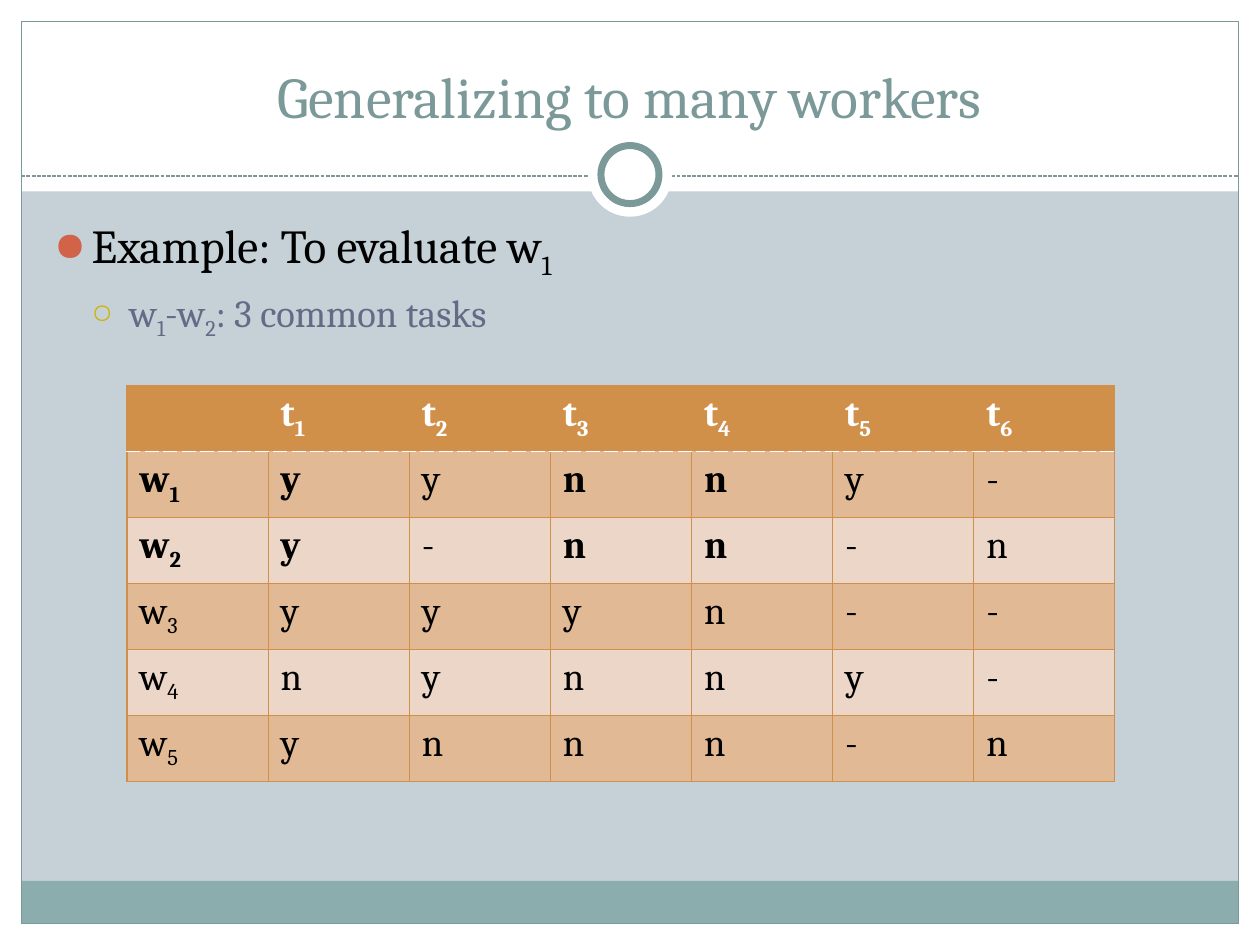
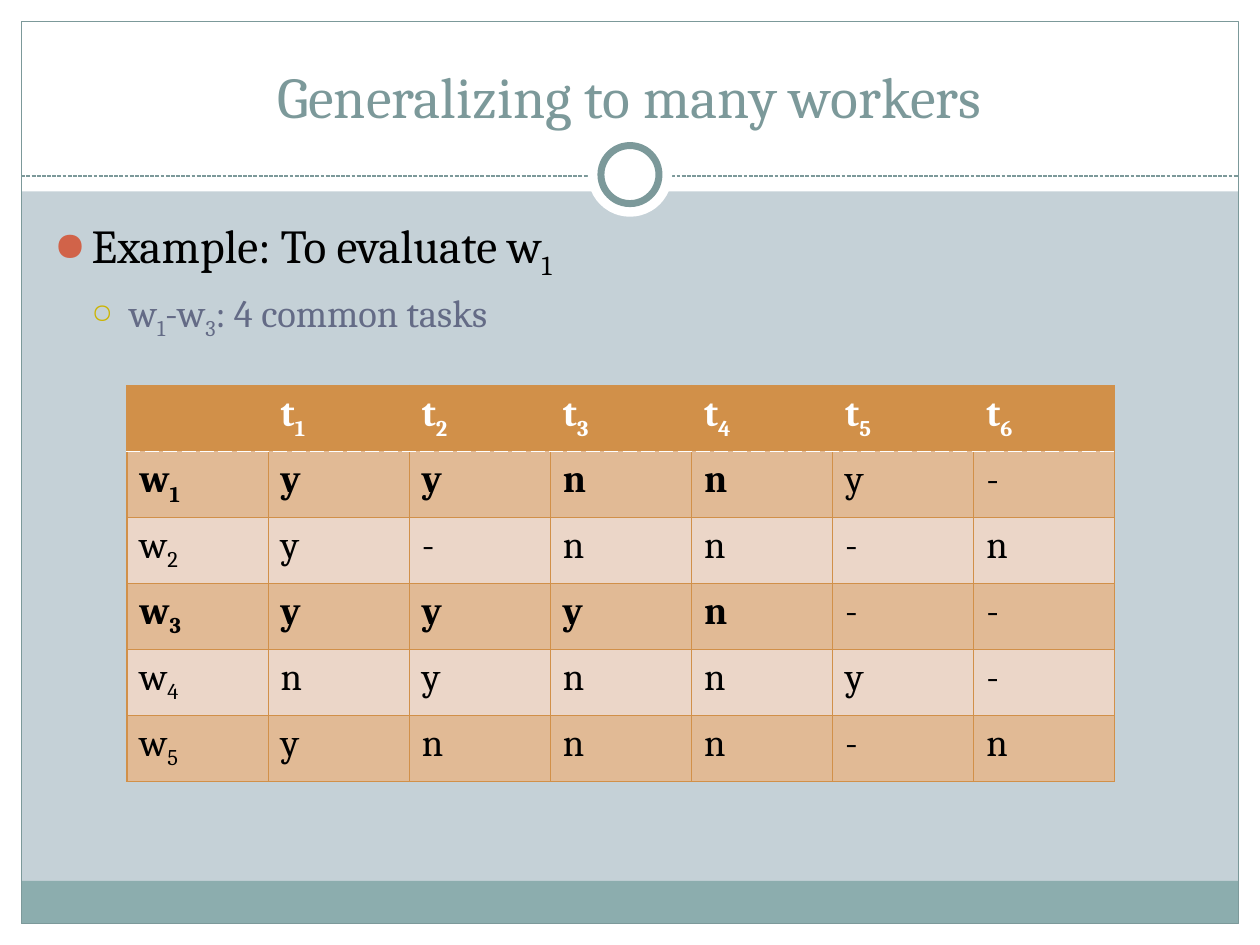
from lxml import etree
from pptx import Presentation
from pptx.dml.color import RGBColor
from pptx.enum.dml import MSO_LINE
from pptx.enum.shapes import MSO_CONNECTOR, MSO_SHAPE
from pptx.enum.text import MSO_ANCHOR, PP_ALIGN
from pptx.oxml import parse_xml
from pptx.oxml.ns import nsdecls, qn
from pptx.util import Cm, Pt

# Content: an underscore makes the next character a subscript
TITLE = "Generalizing to many workers"
EXAMPLE = "Example: To evaluate w_1"
TASKS = ["t_1", "t_2", "t_3", "t_4", "t_5", "t_6"]
ANSWERS = {
    "w_1": "yynny-",
    "w_2": "y-nn-n",
    "w_3": "yyyn--",
    "w_4": "nynny-",
    "w_5": "ynnn-n",
}
COMPARED_PAIRS = [("w_1", "w_2"), ("w_1", "w_3")]

# Shared style
FONT = "Cambria"
WHITE, BLACK = "FFFFFF", "000000"
BACKGROUND, TEAL, FOOTER = "C5D1D7", "7C999A", "8CADAE"
ORANGE, DARK_ROW, LIGHT_ROW = "D19049", "E1BA95", "EBD6C8"
DOT, CIRCLE, SUBPOINT = "D16349", "CCB400", "646B86"

# Lengths in centimetres
WIDTH, HEIGHT, MARGIN = 25.4, 19.05, 0.43
HEADER_H, FOOTER_H = 3.86, 0.86
RULE_Y, RING_Y = 3.55, 3.52
INDENT = 0.76
TABLE_BOX = (2.56, 7.77, 19.92, 7.98)


def rgb(color):
    return RGBColor.from_string(color)


def write(paragraph, text, size=22, color=BLACK, bold=False, align=None):
    """Fill a paragraph with runs, lowering each character after an underscore."""
    paragraph.alignment = align
    first, *rest = text.split("_")
    pieces = [(first, False)]
    for part in rest:
        pieces += [(part[:1], True), (part[1:], False)]
    for piece, lowered in pieces:
        if not piece:
            continue
        run = paragraph.add_run()
        run.text = piece
        font = run.font
        font.name, font.size, font.bold = FONT, Pt(size), bold
        font.color.rgb = rgb(color)
        if lowered:
            font._element.set("baseline", "-25000")


def add_bullet(paragraph, level, char, color, percent):
    props = paragraph._p.get_or_add_pPr()
    props.set("marL", str(Cm(INDENT * (level + 1))))
    props.set("indent", str(-Cm(INDENT)))
    paragraph.level = level
    for xml in (
        f'<a:spcBef {nsdecls("a")}><a:spcPct val="20000"/></a:spcBef>',
        f'<a:buClr {nsdecls("a")}><a:srgbClr val="{color}"/></a:buClr>',
        f'<a:buSzPct {nsdecls("a")} val="{percent * 1000}"/>',
        f'<a:buChar {nsdecls("a")} char="{char}"/>',
    ):
        props.append(parse_xml(xml))


def add_shape(slide, kind, box, fill=None, line=None, line_width=0.75):
    shape = slide.shapes.add_shape(kind, *map(Cm, box))
    shape.shadow.inherit = False
    if fill:
        shape.fill.solid()
        shape.fill.fore_color.rgb = rgb(fill)
    else:
        shape.fill.background()
    if line:
        shape.line.color.rgb = rgb(line)
        shape.line.width = Pt(line_width)
    else:
        shape.line.fill.background()


def add_text_frame(slide, box, anchor=MSO_ANCHOR.TOP):
    frame = slide.shapes.add_textbox(*map(Cm, box)).text_frame
    frame.word_wrap = True
    frame.vertical_anchor = anchor
    return frame


def add_frame(slide):
    """Draw the white edges, footer band, outline, dashed rule and ring."""
    slide.background.fill.solid()
    slide.background.fill.fore_color.rgb = rgb(BACKGROUND)
    right, bottom = WIDTH - MARGIN, HEIGHT - MARGIN
    inner_w = WIDTH - 2 * MARGIN
    for box, fill in (
        ((0, bottom, WIDTH, MARGIN), WHITE),
        ((0, 0, WIDTH, HEADER_H), WHITE),
        ((0, 0, MARGIN, HEIGHT), WHITE),
        ((right, 0, MARGIN, HEIGHT), WHITE),
        ((MARGIN, bottom - FOOTER_H, inner_w, FOOTER_H), FOOTER),
    ):
        add_shape(slide, MSO_SHAPE.RECTANGLE, box, fill)
    outline = (MARGIN, MARGIN, inner_w, HEIGHT - 2 * MARGIN)
    add_shape(slide, MSO_SHAPE.RECTANGLE, outline, line=TEAL)

    rule = slide.shapes.add_connector(
        MSO_CONNECTOR.STRAIGHT, Cm(MARGIN), Cm(RULE_Y), Cm(right), Cm(RULE_Y))
    rule.line.color.rgb = rgb(TEAL)
    rule.line.width = Pt(0.75)
    rule.line.dash_style = MSO_LINE.SQUARE_DOT
    etree.SubElement(rule._element.spPr, qn("a:effectLst"))

    for size, line in ((1.7, None), (1.17, TEAL)):
        ring = ((WIDTH - size) / 2, RING_Y - size / 2, size, size)
        add_shape(slide, MSO_SHAPE.OVAL, ring, WHITE, line, 4)


def style_cell(cell, fill, top, bottom):
    solid = (ORANGE, 0.75, "solid")
    props = cell._tc.get_or_add_tcPr()
    for side, (color, width, dash) in zip("LRTB", (solid, solid, top, bottom)):
        props.append(parse_xml(
            f'<a:ln{side} {nsdecls("a")} w="{Pt(width)}"><a:solidFill>'
            f'<a:srgbClr val="{color}"/></a:solidFill>'
            f'<a:prstDash val="{dash}"/></a:ln{side}>'))
    cell.fill.solid()
    cell.fill.fore_color.rgb = rgb(fill)


def add_answers(slide, pair, common):
    """Table of answers, with the pair's common tasks in bold."""
    rows = [["", *TASKS]] + [[name, *given] for name, given in ANSWERS.items()]
    table = slide.shapes.add_table(
        len(rows), len(rows[0]), *map(Cm, TABLE_BOX)).table
    solid, dashed = (ORANGE, 0.75, "solid"), (WHITE, 0.9, "sysDash")
    for r, row in enumerate(rows):
        header = r == 0
        fill = ORANGE if header else DARK_ROW if r % 2 else LIGHT_ROW
        for c, text in enumerate(row):
            cell = table.cell(r, c)
            style_cell(cell, fill, dashed if r == 1 else solid,
                       dashed if header else solid)
            bold = header or (row[0] in pair and (c == 0 or c - 1 in common))
            write(cell.text_frame.paragraphs[0], text, bold=bold,
                  color=WHITE if header else BLACK)


def add_comparison(prs, pair):
    slide = prs.slides.add_slide(prs.slide_layouts[6])
    add_frame(slide)
    first, second = pair
    common = [task for task, given in enumerate(zip(ANSWERS[first], ANSWERS[second]))
              if "-" not in given]

    title = add_text_frame(slide, (0.84, 0.64, 23.7, 2.11), MSO_ANCHOR.BOTTOM)
    write(title.paragraphs[0], TITLE, size=33, color=TEAL, align=PP_ALIGN.CENTER)

    body = add_text_frame(slide, (0.84, 4.24, 23.62, 12.7))
    example, shared_tasks = body.paragraphs[0], body.add_paragraph()
    write(example, EXAMPLE, size=27)
    add_bullet(example, 0, "●", DOT, 85)
    write(shared_tasks, f"{first}-{second}: {len(common)} common tasks", color=SUBPOINT)
    add_bullet(shared_tasks, 1, "○", CIRCLE, 70)

    add_answers(slide, pair, common)


def main():
    prs = Presentation()
    prs.slide_width, prs.slide_height = Cm(WIDTH), Cm(HEIGHT)
    for pair in COMPARED_PAIRS:
        add_comparison(prs, pair)
    prs.save("out.pptx")


if __name__ == "__main__":
    main()
